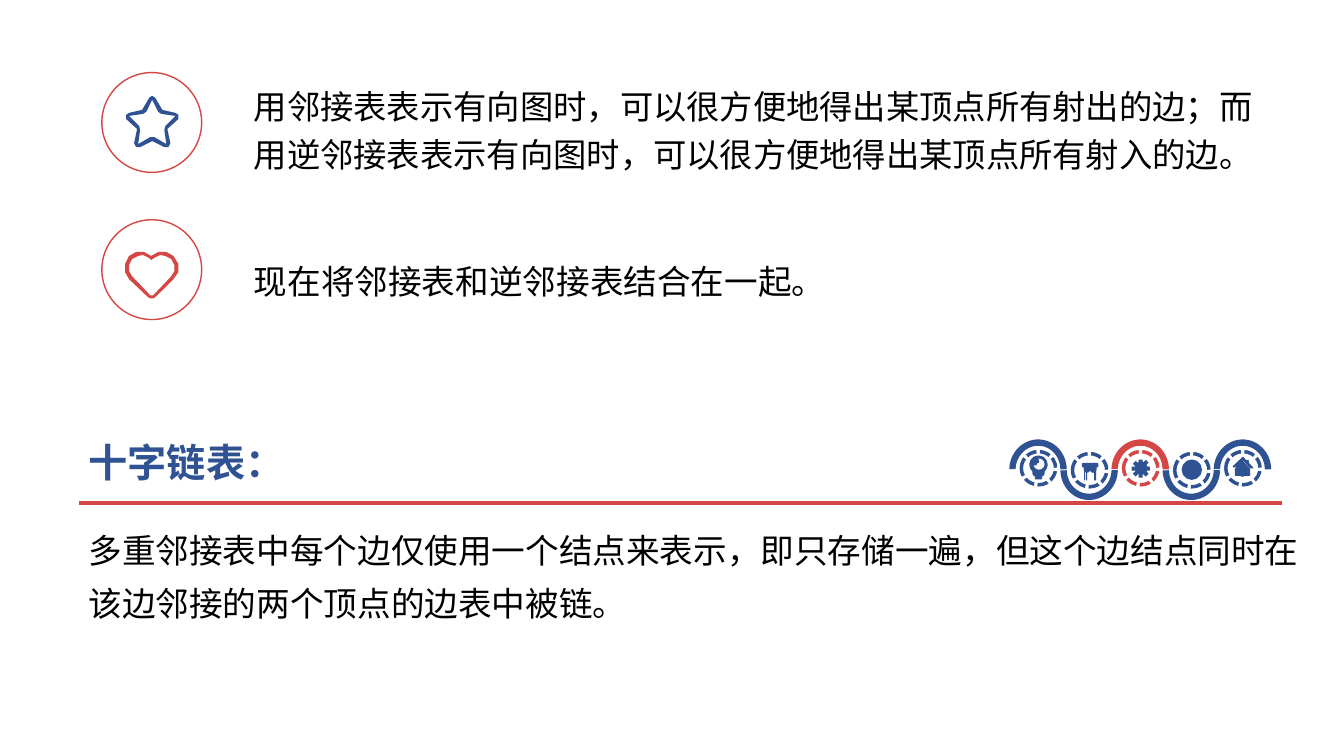
from lxml import etree
from pptx import Presentation
from pptx import util as u
from pptx.dml.color import RGBColor
from pptx.enum import dml, shapes, text
from pptx.oxml.ns import qn

BLUE, RED, BLACK, PALE, ORANGE = "2E5292", "D54745", "000000", "F8F8F8", "FF9900"
BODY, HEADING = "Times New Roman", "Noto Sans CJK SC"
KIND = shapes.MSO_SHAPE
TOP, MIDDLE = text.MSO_ANCHOR.TOP, text.MSO_ANCHOR.MIDDLE

# Icon outlines in hundredths of an inch from the badge corner:
# a pair is a straight step, six numbers are a curve
HEART = [
    [(69, 56), (51, 75), (48, 75), (30, 56),
     (25, 52, 25, 44, 30, 39), (35, 34, 42, 34, 47, 38), (49, 40), (52, 38),
     (57, 34, 64, 34, 69, 39), (74, 44, 74, 52, 69, 56)],
    [(71, 36), (65, 30, 56, 30, 49, 36), (43, 30, 33, 30, 27, 36),
     (21, 43, 21, 53, 27, 59), (46, 77), (48, 79, 51, 79, 53, 77),
     (71, 59), (78, 53, 78, 43, 71, 36)],
]
STAR = [
    [(63, 53), (62, 57), (64, 71), (52, 64), (48, 64), (36, 71), (38, 57),
     (37, 53), (27, 43), (41, 41), (44, 39), (50, 27), (56, 39), (59, 41),
     (73, 43)],
    [(76, 42), (73, 40), (60, 37), (53, 25), (50, 23), (47, 25), (40, 37),
     (27, 40), (24, 42), (24, 46), (35, 56), (32, 70), (34, 74), (38, 74),
     (50, 68), (62, 74), (66, 74), (68, 70), (65, 56), (76, 46)],
]

# Medallion icons: kind, box from the ring corner, rotation, fill, line width, adjustments
BULB = [
    (KIND.OVAL, (.11, .07, .12, .12), 32.2, ORANGE, 4.5, ()),
    (KIND.ROUNDED_RECTANGLE, (.14, .23, .07, .01), 0, BLUE, 1, (.37,)),
    (KIND.ROUNDED_RECTANGLE, (.14, .14, .06, .08), 359.1, PALE, 4.5, ()),
    (KIND.ROUNDED_RECTANGLE, (.14, .26, .06, .01), 0, BLUE, 1, (.37,)),
    (KIND.OVAL, (.12, .07, .11, .11), 32.2, PALE, 0, ()),
    (KIND.ARC, (.13, .09, .08, .08), 282.8, None, 3, (149.58, 211.05)),
]
TABLE = [(KIND.ROUNDED_RECTANGLE, (left, .18, .16, .01), 270, BLUE, 0, ())
         for left in (.04, .06, .14, .15)] + [
    (KIND.OVAL, (.11, .11, .07, .08), 0, BLUE, 0, ()),
    (KIND.OVAL, (.17, .11, .07, .08), 180, BLUE, 0, ()),
    (KIND.ROUNDED_RECTANGLE, (.1, .1, .15, .03), 0, BLUE, 1, ()),
]
GEAR = [(KIND.OVAL, (.11, .1, .13, .13), 0, BLUE, 0, ())] + [
    (KIND.RECTANGLE, (left, top, .04, .04), turn, BLUE, 0, ())
    for left, top, turn in (
        (.15, .08, 0), (.15, .22, 0), (.2, .09, 47.3), (.1, .1, 315),
        (.2, .2, 315), (.1, .2, 47.3), (.08, .15, 270), (.22, .15, 270))] + [
    (KIND.OVAL, (.13, .12, .09, .09), 0, BLUE, 0, ()),
]
BALL = [
    (KIND.ARC, (.09, -.04, .16, .18), 90, None, 3, (189.05, 26.59)),
    (KIND.OVAL, (.09, .08, .16, .16), 0, None, 3, ()),
    (None, (.17, .08, 0, .16), 0, None, 3, ()),
    (KIND.ARC, (.05, .07, .16, .18), 0, None, 3, (177.95, 37.2)),
    (KIND.ARC, (.13, .07, .16, .18), 180, None, 3, (177.95, 37.2)),
    (None, (.09, .16, .16, 0), 0, None, 3, ()),
    (KIND.ARC, (.09, .18, .16, .18), 270, None, 3, (189.05, 26.59)),
]
HOUSE = [
    (KIND.HALF_FRAME, (.1, .09, .14, .13), 46.4, BLUE, 1, (.11, .13)),
    (KIND.PENTAGON, (.09, .09, .15, .15), 270, BLUE, 0, (.53,)),
    (KIND.RECTANGLE, (.2, .09, .02, .02), 0, BLUE, 1, ()),
    (KIND.RECTANGLE, (.15, .2, .03, .05), 0, BLUE, 0, ()),
]


def color(value):
    return RGBColor.from_string(value)


def paint(shape, fill=None, line=None, width=0):
    shape.shadow.inherit = False
    if fill:
        shape.fill.solid()
        shape.fill.fore_color.rgb = color(fill)
    else:
        shape.fill.background()
    if width:
        shape.line.color.rgb = color(line)
        shape.line.width = u.Pt(width)
    else:
        shape.line.fill.background()


def add_rule(holder, box, line, width):
    left, top, wide, high = box
    rule = holder.shapes.add_connector(
        shapes.MSO_CONNECTOR.STRAIGHT, u.Inches(left), u.Inches(top),
        u.Inches(left + wide), u.Inches(top + high))
    rule.line.color.rgb = color(line)
    rule.line.width = u.Pt(width)
    etree.SubElement(rule._element.spPr, qn("a:effectLst"))


def add_part(holder, kind, box, turn=0, fill=None, line=BLUE, width=0, adjust=()):
    part = holder.shapes.add_shape(kind, *map(u.Inches, box))
    part.rotation = turn
    for index, value in enumerate(adjust):
        part.adjustments[index] = value
    paint(part, fill, line, width)
    return part


def add_text(page, box, words, size, spacing, before=0, anchor=TOP,
             font=BODY, ink=BLACK, bold=False):
    frame = page.shapes.add_textbox(*map(u.Inches, box)).text_frame
    frame.word_wrap = True
    frame.vertical_anchor = anchor
    frame.text = words
    para = frame.paragraphs[0]
    para.line_spacing = spacing
    para.space_before = u.Pt(before)
    span = para.runs[0]
    span.font.size = u.Pt(size)
    span.font.bold = bold
    span.font.name = font
    span.font.color.rgb = color(ink)
    if font == HEADING:
        etree.SubElement(span._r.get_or_add_rPr(), qn("a:ea"), typeface=font)


def flatten(contour, steps=3):
    points = [contour[0]]
    for step in contour[1:]:
        if len(step) == 2:
            points.append(step)
            continue
        start, first, second, end = points[-1], step[:2], step[2:4], step[4:]
        for t in (n / steps for n in range(1, steps + 1)):
            s = 1 - t
            points.append(tuple(
                s**3 * a + 3 * s * s * t * b + 3 * s * t * t * c + t**3 * d
                for a, b, c, d in zip(start, first, second, end)))
    return points


def badge(page, left, top, outline, ink):
    """Ringed icon beside a statement."""
    add_part(page, KIND.OVAL, (left, top, .99, .99), line=RED, width=1)
    inner, outer = map(flatten, outline)
    builder = page.shapes.build_freeform(*inner[0], scale=u.Inches(.01))
    builder.add_line_segments(inner[1:], close=True)
    builder.move_to(*outer[0])
    builder.add_line_segments(outer[1:], close=True)
    paint(builder.convert_to_shape(u.Inches(left), u.Inches(top)), ink)


def ornament(page, left, top):
    """Wave of five medallions, every second one upside down."""
    group = page.shapes.add_group_shape()
    for index, icon in enumerate((BULB, TABLE, GEAR, BALL, HOUSE)):
        ink = RED if icon is GEAR else BLUE
        low = index % 2
        x = left + index * .507
        add_part(group, KIND.BLOCK_ARC, (x, top, .57, .6), 183.3 if low else 3.6,
                 ink, adjust=(106.59, 213.36, .11))
        x, y = x + .12, top + .12 + .02 * low
        ring = add_part(group, KIND.OVAL, (x, y, .34, .33), line=ink, width=2.5)
        ring.line.dash_style = dml.MSO_LINE.SQUARE_DOT
        for kind, (dx, dy, wide, high), turn, fill, width, adjust in icon:
            box = (x + dx, y + dy, wide, high)
            if kind is None:
                add_rule(group, box, BLUE, width)
            else:
                add_part(group, kind, box, turn, fill, BLUE, width, adjust)


def statements(page, left, top):
    """Two statements with their badges."""
    add_text(page, (left + 1.41, top - .06, 10.36, 1.18),
             "用邻接表表示有向图时，可以很方便地得出某顶点所有射出的边；而"
             "用逆邻接表表示有向图时，可以很方便地得出某顶点所有射入的边。",
             23.8, 1.2, anchor=MIDDLE)
    add_text(page, (left + 1.41, top + 1.63, 9.61, .76),
             "现在将邻接表和逆邻接表结合在一起。", 24, 1.3, anchor=MIDDLE)
    badge(page, left, top, STAR, BLUE)
    badge(page, left, top + 1.46, HEART, RED)


def definition(page, left, top):
    """Heading with rule and ornament, explanation below."""
    add_text(page, (left, top, 9.91, .58), "十字链表：", 28, .9, 6, MIDDLE,
             HEADING, BLUE, True)
    add_rule(page, (left, top + .67, 11.94, 0), RED, 3)
    add_text(page, (left, top + .77, 12.25, 1.53),
             "多重邻接表中每个边仅使用一个结点来表示，即只存储一遍，"
             "但这个边结点同时在该边邻接的两个顶点的边表中被链。", 24, 1.3)
    ornament(page, left + 9.23, top + .04)


deck = Presentation()
deck.slide_width, deck.slide_height = u.Inches(13.33), u.Inches(7.5)
page = deck.slides.add_slide(deck.slide_layouts[6])
statements(page, 1.01, .72)
definition(page, .78, 4.32)
deck.save("out.pptx")
